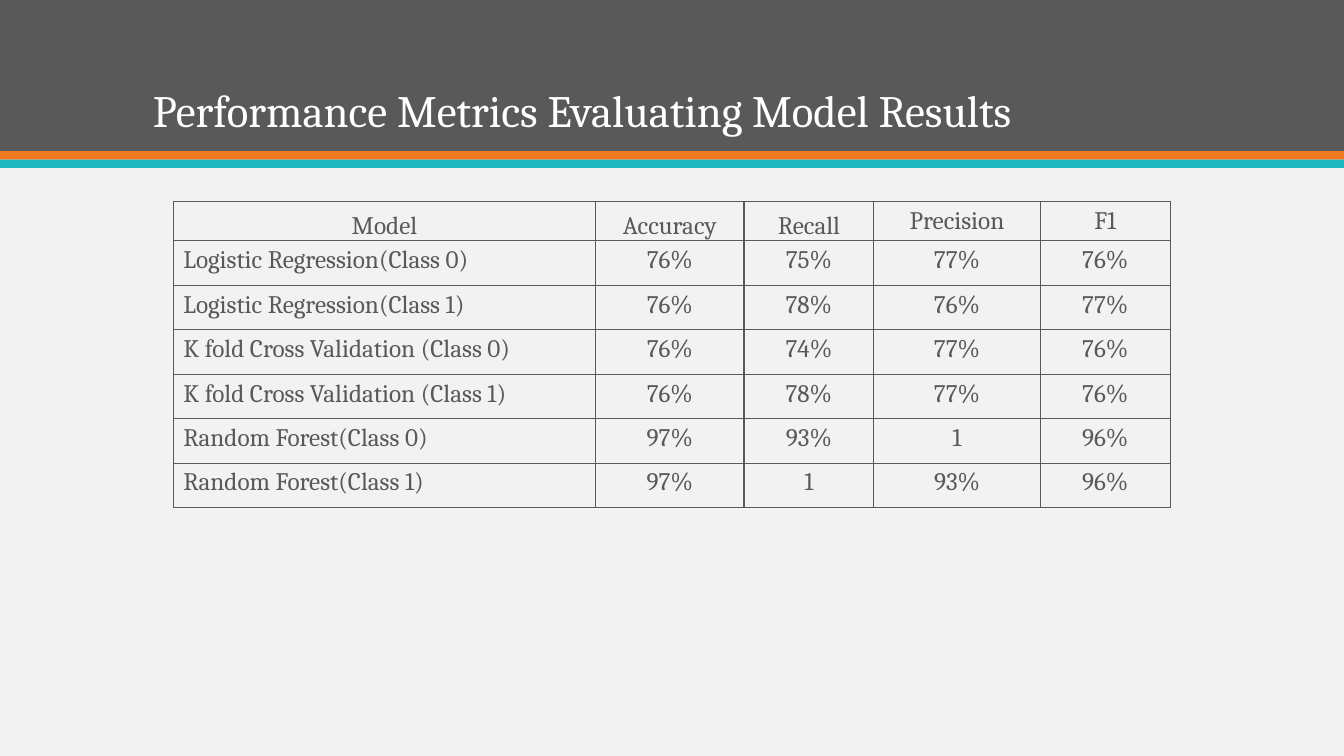
from dataclasses import dataclass

from lxml import etree
from pptx import Presentation
from pptx.dml.color import RGBColor
from pptx.enum import shapes, text
from pptx.oxml import ns
from pptx.util import Pt


@dataclass(frozen=True)
class Theme:
    font: str = "Cambria"
    title_size: int = 32
    table_size: int = 18
    background: str = "F2F2F2"
    dark: str = "595959"
    orange: str = "EF7920"
    teal: str = "1EB8C1"
    white: str = "FFFFFF"


THEME = Theme()
SLIDE_W, SLIDE_H = 960, 540

COLUMN_WIDTHS = [301.7, 106, 92.7, 118.9, 92.9]
HEADER_H, ROW_H = 27.9, 31.8
ROWS = [
    ["Model", "Accuracy", "Recall", "Precision", "F1"],
    ["Logistic Regression(Class 0)", "76%", "75%", "77%", "76%"],
    ["Logistic Regression(Class 1)", "76%", "78%", "76%", "77%"],
    ["K fold Cross Validation (Class 0)", "76%", "74%", "77%", "76%"],
    ["K fold Cross Validation (Class 1)", "76%", "78%", "77%", "76%"],
    ["Random Forest(Class 0)", "97%", "93%", "1", "96%"],
    ["Random Forest(Class 1)", "97%", "1", "93%", "96%"],
]


def rgb(color):
    return RGBColor.from_string(color)


def style_font(p, size, color):
    p.font.name = THEME.font
    p.font.size = Pt(size)
    p.font.color.rgb = rgb(color)


def add_band(slide, top, height, color):
    sp = slide.shapes.add_shape(shapes.MSO_SHAPE.RECTANGLE,
                                0, Pt(top), Pt(SLIDE_W), Pt(height))
    sp.shadow.inherit = False
    sp.fill.solid()
    sp.fill.fore_color.rgb = rgb(color)
    sp.line.fill.background()


def set_title(slide, wording):
    title = slide.shapes.title
    slide.shapes.element.append(title.element)  # bring in front of the bands
    title.left, title.top = Pt(102), Pt(20)
    title.width, title.height = Pt(756), Pt(81.5)
    tf = title.text_frame
    tf.text = wording
    tf.word_wrap = True
    tf.auto_size = text.MSO_AUTO_SIZE.NONE
    tf.vertical_anchor = text.MSO_ANCHOR.BOTTOM
    p = tf.paragraphs[0]
    p.alignment = text.PP_ALIGN.LEFT
    p.line_spacing = 0.9
    style_font(p, THEME.title_size, THEME.white)


def set_borders(cell, color, width):
    tc_pr = cell._tc.get_or_add_tcPr()
    for i, side in enumerate(("lnL", "lnR", "lnT", "lnB")):
        ln = etree.Element(ns.qn(f"a:{side}"), w=str(Pt(width)))
        fill = etree.SubElement(ln, ns.qn("a:solidFill"))
        etree.SubElement(fill, ns.qn("a:srgbClr"), val=color)
        tc_pr.insert(i, ln)  # borders come before the fill


def format_cell(cell, wording, centred, tight):
    cell.text = wording
    cell.fill.background()
    set_borders(cell, THEME.dark, 1)
    p = cell.text_frame.paragraphs[0]
    style_font(p, THEME.table_size, THEME.dark)
    p.alignment = text.PP_ALIGN.CENTER if centred else text.PP_ALIGN.LEFT
    if tight:
        cell.vertical_anchor = text.MSO_ANCHOR.BOTTOM
        cell.margin_left = cell.margin_right = cell.margin_top = Pt(0.75)
        cell.margin_bottom = 0
        p.space_before = Pt(18)
    else:
        cell.vertical_anchor = text.MSO_ANCHOR.TOP
        cell.margin_left = cell.margin_right = Pt(7.2)
        cell.margin_top = cell.margin_bottom = Pt(3.6)


def add_metrics_table(slide, left, top):
    heights = [HEADER_H] + [ROW_H] * (len(ROWS) - 1)
    table = slide.shapes.add_table(
        len(ROWS), len(COLUMN_WIDTHS), Pt(left), Pt(top),
        Pt(sum(COLUMN_WIDTHS)), Pt(sum(heights))).table
    table.first_row = table.horz_banding = False
    for column, width in zip(table.columns, COLUMN_WIDTHS):
        column.width = Pt(width)
    for r, (row, height) in enumerate(zip(ROWS, heights)):
        table.rows[r].height = Pt(height)
        for c, wording in enumerate(row):
            format_cell(table.cell(r, c), wording,
                        centred=r == 0 or c > 0, tight=r == 0 and c < 3)


def main():
    prs = Presentation()
    prs.slide_width, prs.slide_height = Pt(SLIDE_W), Pt(SLIDE_H)
    slide = prs.slides.add_slide(prs.slide_layouts[5])
    slide.background.fill.solid()
    slide.background.fill.fore_color.rgb = rgb(THEME.background)

    # Header bands and title
    add_band(slide, 0, 108, THEME.dark)
    add_band(slide, 108, 6, THEME.orange)
    add_band(slide, 114, 6, THEME.teal)
    set_title(slide, "Performance Metrics Evaluating Model Results")

    # Results table
    add_metrics_table(slide, 123.8, 144)

    prs.save("out.pptx")


if __name__ == "__main__":
    main()
